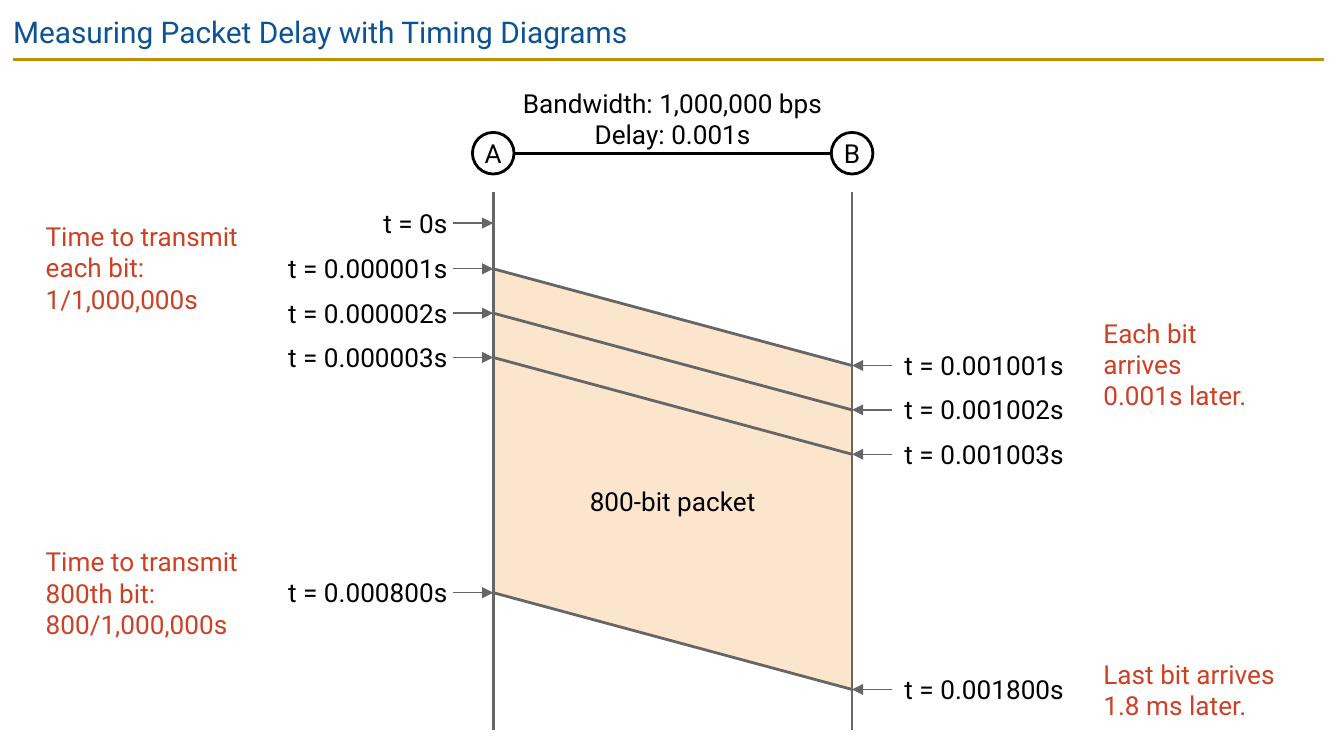
from copy import deepcopy
from dataclasses import dataclass

from lxml import etree
from pptx import Presentation
from pptx.dml.color import RGBColor
from pptx.enum.shapes import MSO_CONNECTOR, MSO_SHAPE
from pptx.enum.text import MSO_ANCHOR, MSO_AUTO_SIZE, PP_ALIGN
from pptx.oxml.ns import qn
from pptx.util import Inches, Pt

STRAIGHT = MSO_CONNECTOR.STRAIGHT
OVAL = MSO_SHAPE.OVAL
LEFT, CENTER, RIGHT = PP_ALIGN.LEFT, PP_ALIGN.CENTER, PP_ALIGN.RIGHT
TOP, MIDDLE = MSO_ANCHOR.TOP, MSO_ANCHOR.MIDDLE
GROW, FIXED = MSO_AUTO_SIZE.SHAPE_TO_FIT_TEXT, MSO_AUTO_SIZE.NONE


@dataclass(frozen=True)
class Theme:
    font: str = "Roboto"
    title_size: float = 16
    body_size: float = 14
    heavy: float = 1.5
    thin: float = 0.75
    title: str = "0B5394"
    rule: str = "BF9000"
    ink: str = "000000"
    paper: str = "FFFFFF"
    gray: str = "666666"
    note: str = "CC4125"
    packet: str = "FCE5CD"


@dataclass(frozen=True)
class Bit:
    sent_y: float
    sent: str
    received: str


@dataclass(frozen=True)
class Note:
    left: float
    top: float
    width: float
    height: float
    lines: tuple[str, ...]


THEME = Theme()
PAGE_WIDTH = 10
PAGE_HEIGHT = PAGE_WIDTH * 9 / 16
A_X, B_X = 3.67, 6.34
DELAY_DROP = 0.72
NODE_SIZE, NODE_Y = 0.31, 1.14
ARROW_LENGTH = 0.3
SENT_GAP, RECEIVED_GAP = 0.04, 0.09
LABEL_HEIGHT, LABEL_WIDTH = 0.24, 1.32
START_Y, FIRST_BIT_Y, BIT_STEP = 1.66, 2.0, 0.33

BITS = [
    Bit(FIRST_BIT_Y + i * BIT_STEP, f"t = 0.00000{i + 1}s", f"t = 0.00100{i + 1}s")
    for i in range(3)
] + [Bit(4.41, "t = 0.000800s", "t = 0.001800s")]

NOTES = [
    Note(0.31, 1.61, 1.52, 0.77, ("Time to transmit each bit:", "1/1,000,000s")),
    Note(8.18, 2.33, 1.32, 0.77, ("Each bit arrives\n0.001s later.",)),
    Note(0.31, 4.03, 1.52, 0.77, ("Time to transmit 800th bit:", "800/1,000,000s")),
    Note(8.18, 4.87, 1.45, 0.53, ("Last bit arrives 1.8 ms later.",)),
]


def rgb(color: str) -> RGBColor:
    return RGBColor.from_string(color)


def write(frame, *lines: str, color: str = THEME.ink, size: float = THEME.body_size,
          align=LEFT, anchor=TOP, inset: float = 0.0, fit=GROW) -> None:
    """Write one paragraph per line; a newline inside a line is a line break."""
    frame.word_wrap = True
    frame.auto_size = fit
    frame.vertical_anchor = anchor
    frame.margin_left = frame.margin_right = Inches(inset)
    frame.margin_top = frame.margin_bottom = Inches(inset)
    for index, line in enumerate(lines):
        para = frame.add_paragraph() if index else frame.paragraphs[0]
        para.alignment = align
        for part_index, part in enumerate(line.split("\n")):
            if part_index:
                para.add_line_break()
                para._p[-1].append(deepcopy(span._r.rPr))
            span = para.add_run()
            span.text = part
            span.font.name = THEME.font
            span.font.size = Pt(size)
            span.font.color.rgb = rgb(color)


def add_text(page, left: float, top: float, width: float, height: float,
             *lines: str, **text_format) -> None:
    box = page.shapes.add_textbox(Inches(left), Inches(top), Inches(width), Inches(height))
    write(box.text_frame, *lines, **text_format)


def add_line(page, x1: float, y1: float, x2: float, y2: float, color: str = THEME.gray,
             width: float = THEME.heavy, arrow: bool = False) -> None:
    line = page.shapes.add_connector(STRAIGHT, Inches(x1), Inches(y1), Inches(x2), Inches(y2))
    line.line.color.rgb = rgb(color)
    line.line.width = Pt(width)
    properties = line._element.spPr
    if arrow:
        etree.SubElement(properties.find(qn("a:ln")), qn("a:tailEnd"), type="triangle")
    etree.SubElement(properties, qn("a:effectLst"))


def add_node(page, center_x: float, name: str) -> None:
    node = page.shapes.add_shape(
        OVAL, Inches(center_x - NODE_SIZE / 2), Inches(NODE_Y - NODE_SIZE / 2),
        Inches(NODE_SIZE), Inches(NODE_SIZE))
    node.shadow.inherit = False
    node.fill.solid()
    node.fill.fore_color.rgb = rgb(THEME.paper)
    node.line.color.rgb = rgb(THEME.ink)
    node.line.width = Pt(THEME.heavy)
    write(node.text_frame, name, align=CENTER, anchor=MIDDLE, fit=FIXED)


def add_packet(page) -> None:
    """Fill the area between the first and last bit."""
    first, last = BITS[0].sent_y, BITS[-1].sent_y
    builder = page.shapes.build_freeform(Inches(A_X), Inches(first))
    corners = [(B_X, first + DELAY_DROP), (B_X, last + DELAY_DROP), (A_X, last)]
    builder.add_line_segments([(Inches(x), Inches(y)) for x, y in corners], close=True)
    packet = builder.convert_to_shape()
    packet.shadow.inherit = False
    packet.fill.solid()
    packet.fill.fore_color.rgb = rgb(THEME.packet)
    packet.line.fill.background()


def add_time(page, y: float, label: str, axis_x: float, side: int,
             label_width: float = LABEL_WIDTH) -> None:
    """Point a labelled arrow at an axis; side is -1 for left of it, 1 for right."""
    start = axis_x + side * ARROW_LENGTH
    add_line(page, start, y, axis_x, y, width=THEME.thin, arrow=True)
    if side < 0:
        left, align = start - SENT_GAP - label_width, RIGHT
    else:
        left, align = start + RECEIVED_GAP, LEFT
    add_text(page, left, y - LABEL_HEIGHT / 2, label_width, LABEL_HEIGHT, label, align=align)


def add_bit(page, bit: Bit) -> None:
    arrival_y = bit.sent_y + DELAY_DROP
    add_time(page, bit.sent_y, bit.sent, A_X, -1)
    add_line(page, A_X, bit.sent_y, B_X, arrival_y)
    add_time(page, arrival_y, bit.received, B_X, 1, label_width=1.27)


def main() -> None:
    deck = Presentation()
    deck.slide_width, deck.slide_height = Inches(PAGE_WIDTH), Inches(PAGE_HEIGHT)
    page = deck.slides.add_slide(deck.slide_layouts[6])

    add_line(page, 0.1, 0.44, 9.85, 0.44, color=THEME.rule)
    add_packet(page)
    add_text(page, 0, 0, PAGE_WIDTH, 0.43, "Measuring Packet Delay with Timing Diagrams",
             color=THEME.title, size=THEME.title_size, inset=0.1, fit=FIXED)
    for axis_x, name in ((A_X, "A"), (B_X, "B")):
        add_line(page, axis_x, 1.43, axis_x, 5.43)
        add_node(page, axis_x, name)
    add_line(page, A_X + NODE_SIZE / 2, NODE_Y, B_X - NODE_SIZE / 2, NODE_Y, color=THEME.ink)
    add_text(page, A_X, 0.62, B_X - A_X, 0.53, "Bandwidth: 1,000,000 bps", "Delay: 0.001s",
             align=CENTER, inset=0.03)

    add_time(page, START_Y, "t = 0s", A_X, -1, label_width=0.61)
    for bit in BITS:
        add_bit(page, bit)
    for note in NOTES:
        add_text(page, note.left, note.top, note.width, note.height, *note.lines,
                 color=THEME.note, inset=0.03)
    add_text(page, 4.12, 3.58, 1.77, 0.3, "800-bit packet", align=CENTER, inset=0.03)

    deck.save("out.pptx")


if __name__ == "__main__":
    main()
